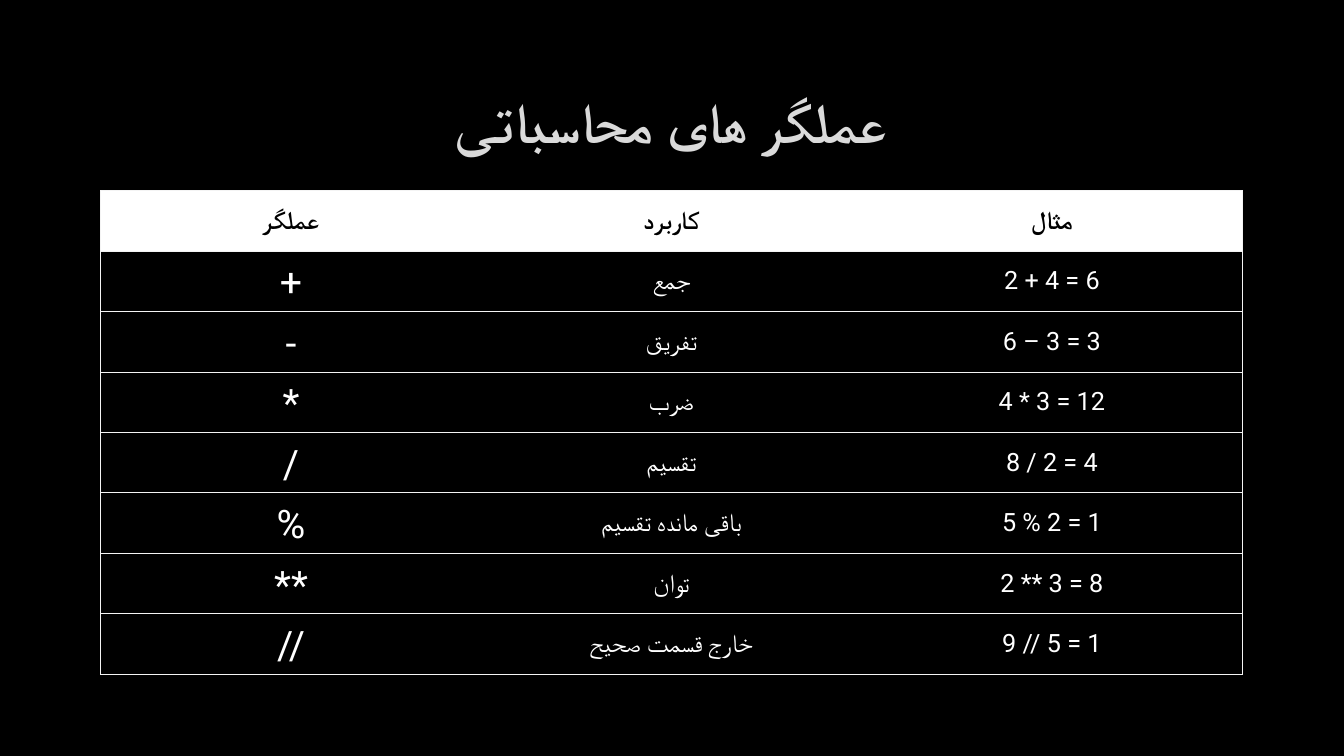
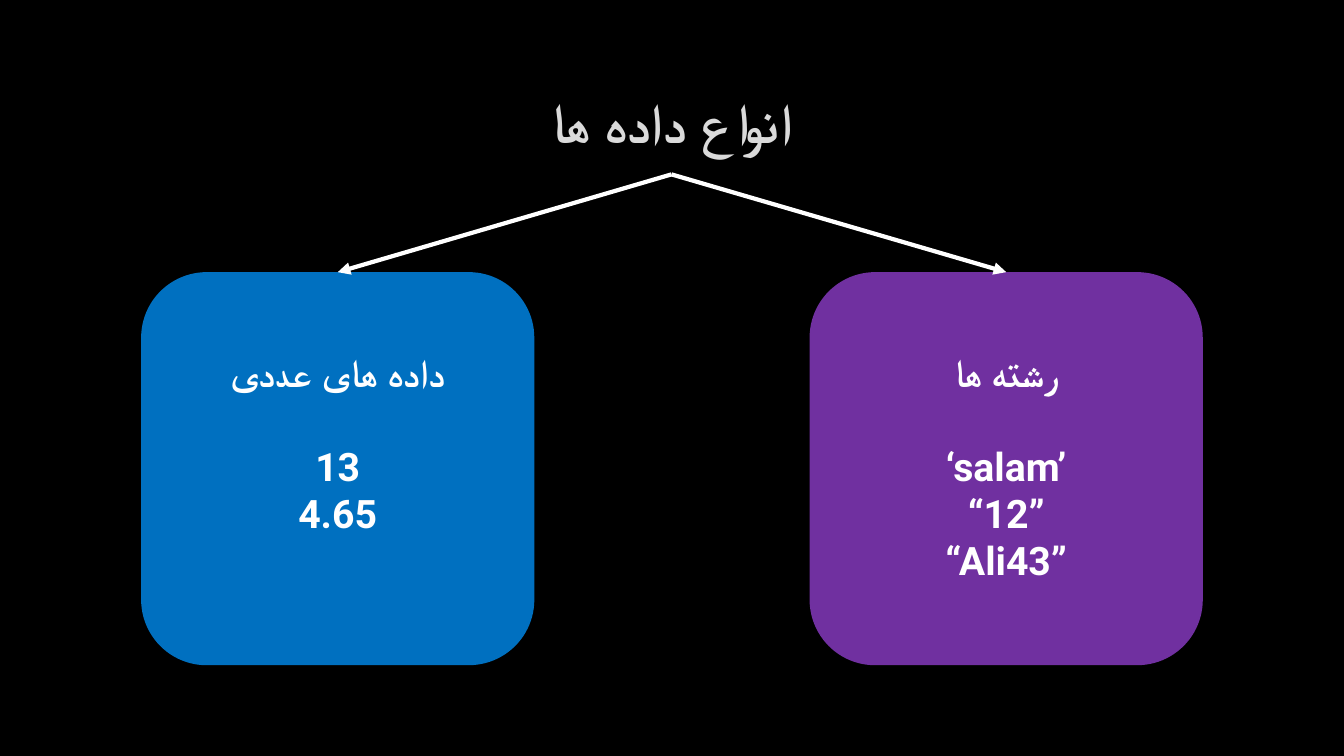
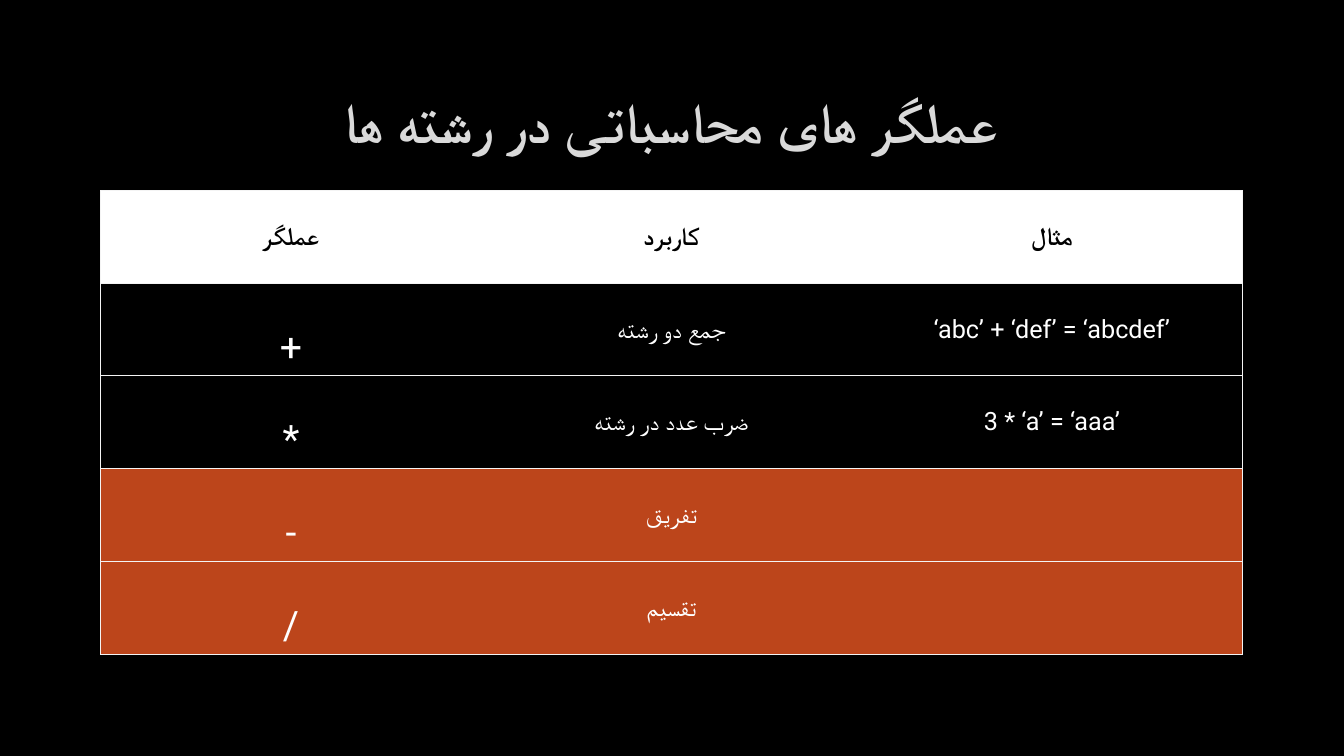
from dataclasses import dataclass

from lxml.etree import SubElement
from pptx import Presentation
from pptx.dml.color import RGBColor
from pptx.enum.shapes import MSO_CONNECTOR, MSO_SHAPE
from pptx.enum.text import MSO_ANCHOR, PP_ALIGN
from pptx.oxml import parse_xml
from pptx.oxml.ns import nsdecls, qn
from pptx.util import Inches, Pt


@dataclass(frozen=True)
class Theme:
    font: str = "Roboto"
    background: str = "000000"
    title: str = "DADADA"
    title_outline: str = "404040"
    light: str = "FFFFFF"
    dark: str = "000000"
    rule: str = "F4F4F4"
    numbers: str = "0070C0"
    strings: str = "7030A0"
    invalid: str = "BC451B"
    title_size: int = 40
    large_size: int = 28
    body_size: int = 18


THEME = Theme()
SLIDE_W, SLIDE_H = 13.33, 7.5
MARGIN, CONTENT_W = 1, 11.32
TITLE_TOP, TITLE_H = 0.67, 1.06
TABLE_TOP = 1.89
CARD_SIDE, CARD_MARGIN, CARD_TOP = 3.9, 1.4, 2.7
PLAIN_TABLE_STYLE = "{2D5ABB26-0587-4C30-8999-92F81FD0307C}"

HEADER = ("عملگر", "کاربرد", "مثال")
NUMBER_OPERATORS = [
    ("+", "جمع", "2 + 4 = 6"),
    ("-", "تفریق", "6 – 3 = 3"),
    ("*", "ضرب", "4 * 3 = 12"),
    ("/", "تقسیم", "8 / 2 = 4"),
    ("%", "باقی مانده تقسیم", "5 % 2 = 1"),
    ("**", "توان", "2 ** 3 = 8"),
    ("//", "خارج قسمت صحیح", "9 // 5 = 1"),
]
STRING_OPERATORS = [
    ("+", "جمع دو رشته", "‘abc’ + ‘def’ = ‘abcdef’"),
    ("*", "ضرب عدد در رشته", "3 * ‘a’ = ‘aaa’"),
    ("-", "تفریق", ""),
    ("/", "تقسیم", ""),
]
DATA_TYPES = [
    ("داده های عددی", ["13", "4.65"], THEME.numbers),
    ("رشته ها", ["‘salam’", "“12”", "“Ali43”"], THEME.strings),
]


def rgb(color):
    return RGBColor.from_string(color)


def write(paragraph, text, size=THEME.body_size, color=THEME.light,
          bold=False, rtl=False, before=0):
    paragraph.alignment = PP_ALIGN.CENTER
    paragraph.space_before = Pt(before)
    if rtl:
        paragraph._p.get_or_add_pPr().set("rtl", "1")
    run = paragraph.add_run()
    run.text = text
    run.font.name = THEME.font
    run.font.size = Pt(size)
    run.font.bold = bold
    run.font.color.rgb = rgb(color)
    SubElement(run._r.rPr, qn("a:cs"), typeface=THEME.font)
    return run


def add_titled_slide(prs, text):
    slide = prs.slides.add_slide(prs.slide_layouts[5])
    title = slide.shapes.title
    title.left, title.top = Inches(MARGIN), Inches(TITLE_TOP)
    title.width, title.height = Inches(CONTENT_W), Inches(TITLE_H)
    title.text_frame.vertical_anchor = MSO_ANCHOR.MIDDLE
    run = write(title.text_frame.paragraphs[0], text, size=THEME.title_size,
                color=THEME.title, bold=True)
    run._r.rPr.insert(0, parse_xml(
        f'<a:ln w="{Pt(0.75)}" {nsdecls("a")}><a:solidFill>'
        f'<a:srgbClr val="{THEME.title_outline}"><a:alpha val="10000"/></a:srgbClr>'
        '</a:solidFill><a:prstDash val="solid"/></a:ln>'))
    return slide


def set_borders(cell, sides):
    properties = cell._tc.get_or_add_tcPr()
    for position, side in enumerate(sides):
        properties.insert(position, parse_xml(
            f'<a:ln{side} w="{Pt(0.75)}" {nsdecls("a")}><a:solidFill>'
            f'<a:srgbClr val="{THEME.rule}"/></a:solidFill></a:ln{side}>'))


def fill_cell(cell, color):
    if color:
        cell.fill.solid()
        cell.fill.fore_color.rgb = rgb(color)
    else:
        cell.fill.background()


def add_operator_table(slide, operators, row_height):
    rows = [HEADER, *operators]
    table = slide.shapes.add_table(
        len(rows), len(HEADER), Inches(MARGIN), Inches(TABLE_TOP),
        Inches(CONTENT_W), Inches(row_height * len(rows))).table
    table._tbl.tblPr.find(qn("a:tableStyleId")).text = PLAIN_TABLE_STYLE
    table.horz_banding = False
    last_column = len(HEADER) - 1
    for row, texts in enumerate(rows):
        is_header = row == 0
        row_fill = THEME.light if is_header else None if texts[-1] else THEME.invalid
        for column, text in enumerate(texts):
            cell = table.cell(row, column)
            is_symbol = column == 0 and not is_header
            cell.vertical_anchor = MSO_ANCHOR.BOTTOM if is_symbol else MSO_ANCHOR.MIDDLE
            fill_cell(cell, row_fill)
            outer = {0: ["L"], last_column: ["R"]}.get(column, [])
            set_borders(cell, outer + ["T", "B"])
            if text:
                write(cell.text_frame.paragraphs[0], text,
                      size=THEME.large_size if is_symbol else THEME.body_size,
                      color=THEME.dark if is_header else THEME.light,
                      bold=is_header, rtl=is_header or column < last_column)


def add_type_card(slide, left, heading, examples, color):
    card = slide.shapes.add_shape(
        MSO_SHAPE.ROUNDED_RECTANGLE, Inches(left), Inches(CARD_TOP),
        Inches(CARD_SIDE), Inches(CARD_SIDE))
    card.shadow.inherit = False
    card.fill.solid()
    card.fill.fore_color.rgb = rgb(color)
    card.line.fill.background()
    frame = card.text_frame
    frame.word_wrap = True
    frame.vertical_anchor = MSO_ANCHOR.TOP
    frame.margin_top = Inches(0.57)
    write(frame.paragraphs[0], heading, size=THEME.large_size, bold=True)
    for index, example in enumerate(examples):
        write(frame.add_paragraph(), example, size=THEME.large_size, bold=True,
              before=33 if index == 0 else 0)
    return card


def add_arrow(slide, source, target):
    arrow = slide.shapes.add_connector(MSO_CONNECTOR.STRAIGHT, 0, 0, 0, 0)
    arrow.begin_connect(source, 2)
    arrow.end_connect(target, 0)
    arrow.line.color.rgb = rgb(THEME.light)
    arrow.line.width = Pt(3)
    SubElement(arrow.line._get_or_add_ln(), qn("a:tailEnd"), type="triangle")
    SubElement(arrow._element.spPr, qn("a:effectLst"))


def add_data_types(slide):
    step = SLIDE_W - 2 * CARD_MARGIN - CARD_SIDE
    for index, (heading, examples, color) in enumerate(DATA_TYPES):
        card = add_type_card(slide, CARD_MARGIN + index * step, heading, examples, color)
        add_arrow(slide, slide.shapes.title, card)


def main():
    prs = Presentation()
    prs.slide_width, prs.slide_height = Inches(SLIDE_W), Inches(SLIDE_H)
    backdrop = prs.slide_master.background.fill
    backdrop.solid()
    backdrop.fore_color.rgb = rgb(THEME.background)

    add_operator_table(add_titled_slide(prs, "عملگر های محاسباتی"),
                       NUMBER_OPERATORS, row_height=0.6)
    add_data_types(add_titled_slide(prs, "انواع داده ها"))
    add_operator_table(add_titled_slide(prs, "عملگر های محاسباتی در رشته ها"),
                       STRING_OPERATORS, row_height=0.92)
    prs.save("out.pptx")


if __name__ == "__main__":
    main()
